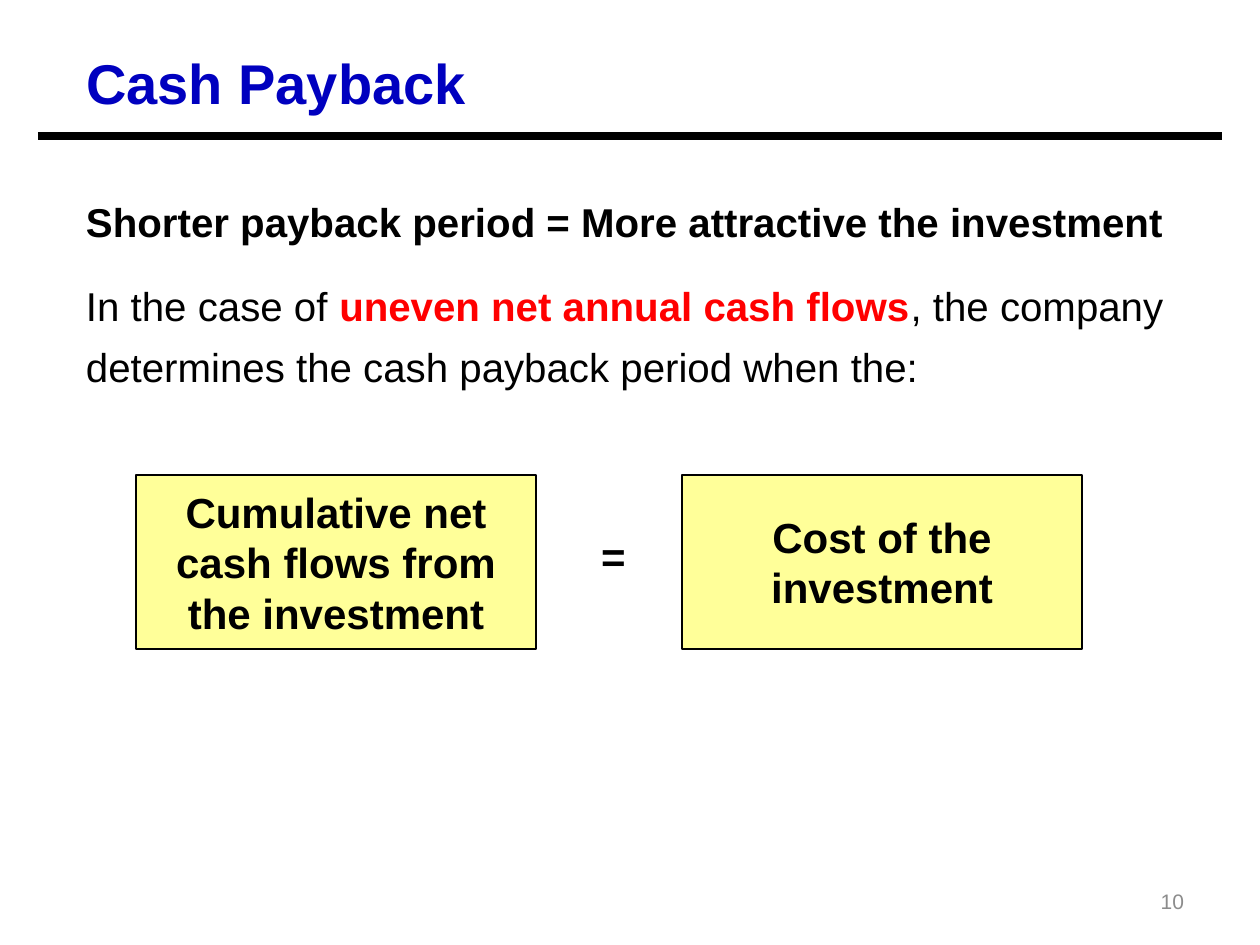
from lxml.etree import SubElement
from pptx import Presentation
from pptx.dml.color import RGBColor
from pptx.enum.shapes import MSO_CONNECTOR, MSO_SHAPE
from pptx.enum.text import MSO_ANCHOR as Anchor, PP_ALIGN as Align
from pptx.oxml.ns import qn
from pptx.util import Pt

PX = 914400 // 126
COLORS = {"black": "000000", "title": "0000BF", "accent": "FF0000",
          "box": "FFFF99", "number": "8C8C8C"}

# Content: each paragraph is a list of (text, color, bold) runs
TITLE = [[("Cash Payback", "title", True)]]
BODY = [
    [("Shorter payback period = More attractive the investment", "black", True)],
    [("In the case of ", "black", False),
     ("uneven net annual cash flows", "accent", True),
     (", the company determines the cash payback period when the:", "black", False)],
]
BOXES = ["Cumulative net cash flows from the investment", "Cost of the investment"]
EQUALS = [[("=", "black", True)]]
NUMBER = [[("10", "number", False)]]

# Box row, in px
BOX_LEFT, BOX_TOP, BOX_WIDTH, BOX_HEIGHT, BOX_GAP = 136, 475, 400, 174, 146


def rgb(name):
    return RGBColor.from_string(COLORS[name])


def px(*lengths):
    return [length * PX for length in lengths]


def write(shape, paragraphs, size, align=Align.LEFT, anchor=Anchor.TOP,
          side=13, line_spacing=None, space_before=0):
    frame = shape.text_frame
    frame.word_wrap = True
    frame.vertical_anchor = anchor
    frame.margin_left = frame.margin_right = side * PX
    frame.margin_top = frame.margin_bottom = 6 * PX
    for index, runs in enumerate(paragraphs):
        paragraph = frame.add_paragraph() if index else frame.paragraphs[0]
        paragraph.alignment = align
        paragraph.line_spacing = line_spacing
        paragraph.space_before = Pt(space_before if index else 0)
        for text, color, bold in runs:
            run = paragraph.add_run()
            run.text = text
            run.font.name = "Arial"
            run.font.size = Pt(size)
            run.font.bold = bold
            run.font.color.rgb = rgb(color)


presentation = Presentation()
presentation.slide_width, presentation.slide_height = px(1260, 945)
slide = presentation.slides.add_slide(presentation.slide_layouts[5])
shapes = slide.shapes

# Title and rule
title = shapes.title
title.left, title.top, title.width, title.height = px(73, 42, 1050, 77)
write(title, TITLE, 32)
rule = shapes.add_connector(MSO_CONNECTOR.STRAIGHT, *px(38, 136, 1222, 136))
rule.line.color.rgb = rgb("black")
rule.line.width = Pt(4.5)
SubElement(rule._element.spPr, qn("a:effectLst"))

# Body text
body = shapes.add_textbox(*px(73, 179, 1113, 226))
write(body, BODY, 23, line_spacing=1.25, space_before=13.8)

# Equation: two boxes with an equals sign between them
for index, label in enumerate(BOXES):
    left = BOX_LEFT + index * (BOX_WIDTH + BOX_GAP)
    box = shapes.add_shape(MSO_SHAPE.RECTANGLE,
                           *px(left, BOX_TOP, BOX_WIDTH, BOX_HEIGHT))
    box.shadow.inherit = False
    box.fill.solid()
    box.fill.fore_color.rgb = rgb("box")
    box.line.color.rgb = rgb("black")
    box.line.width = Pt(1.5)
    write(box, [[(label, "black", True)]], 24, Align.CENTER, Anchor.MIDDLE, side=25)
equals = shapes.add_textbox(*px(577, 525, 73, 64))
write(equals, EQUALS, 24, Align.CENTER, side=23)

# Slide number
number = shapes.add_textbox(*px(903, 876, 294, 50))
write(number, NUMBER, 12, Align.RIGHT, Anchor.MIDDLE)

presentation.save("out.pptx")
